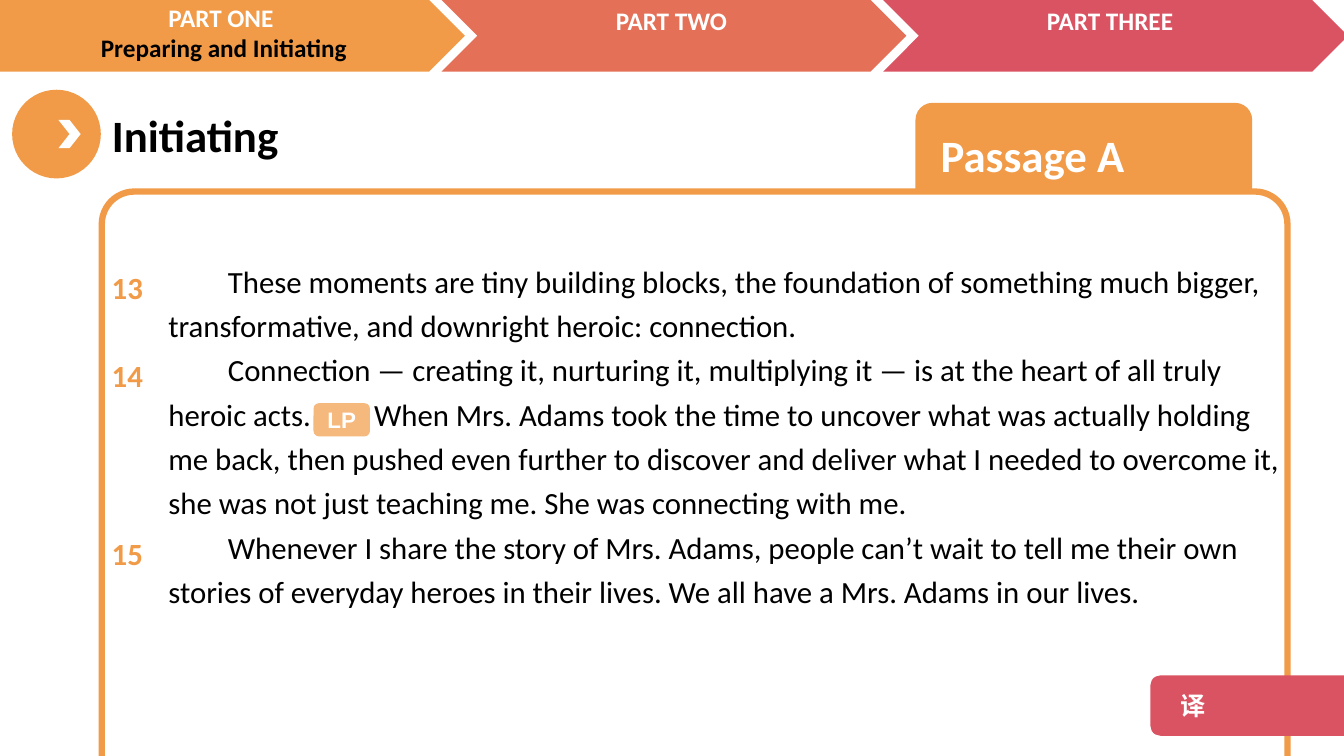
"""Build the Passage A reading slide."""
from lxml.etree import SubElement
from pptx import Presentation
from pptx.dml.color import RGBColor
from pptx.enum.shapes import MSO_SHAPE as Shape
from pptx.enum.text import MSO_ANCHOR as Anchor, MSO_AUTO_SIZE as AutoSize, PP_ALIGN as Align
from pptx.oxml.ns import qn
from pptx.util import Inches, Pt

ORANGE = RGBColor(0xF1, 0x9B, 0x48)
CORAL = RGBColor(0xE4, 0x70, 0x57)
ROSE = RGBColor(0xDA, 0x53, 0x62)
WHITE = RGBColor(0xFF, 0xFF, 0xFF)
BLACK = RGBColor(0, 0, 0)

PARTS = [
    (-0.61, 5.22, ORANGE, -0.06, -0.03, ["PART ONE ", "Preparing and Initiating"]),
    (4.38, 4.61, CORAL, 4.38, 0, ["PART TWO"]),
    (8.76, 4.61, ROSE, 8.73, 0, ["PART THREE"]),
]
PASSAGE = [
    ["These moments are tiny building blocks, the foundation of something much bigger, "
     "transformative, and downright heroic: connection."],
    ["Connection — creating it, nurturing it, multiplying it — is at the heart of all truly "
     "heroic acts.",
     " ",
     "When Mrs. Adams took the time to uncover what was actually holding "
     "me back, then pushed even further to discover and deliver what I needed to overcome it, "
     "she was not just teaching me. She was connecting with me."],
    ["Whenever I share the story of Mrs. Adams, people can’t wait to tell me their own "
     "stories of everyday heroes in their lives. We all have a Mrs. Adams in our lives."],
]
NUMBERS = [("13", 0), ("14", 1), ("15", 3)]
LINE_PITCH = 31.75
TAG_GAP = 40


def place(item, left, top, width, height):
    """Move and size an item, in inches."""
    item.left, item.top = Inches(left), Inches(top)
    item.width, item.height = Inches(width), Inches(height)


def add_span(para, text, size, color, bold=True, font="Calibri"):
    """Add one formatted run to a paragraph and return it."""
    span = para.add_run()
    span.text = text
    span.font.size, span.font.bold, span.font.name = Pt(size), bold, font
    span.font.color.rgb = color
    SubElement(span.font._element, qn("a:ea")).set("typeface", font)
    return span


def add_block(page, kind, box, fill, line=None, corner=None):
    """Add a flat filled shape, with an outline if a colour is given."""
    block = page.shapes.add_shape(kind, *(Inches(value) for value in box))
    block.shadow.inherit = False
    block.fill.solid()
    block.fill.fore_color.rgb = fill
    if line is None:
        block.line.fill.background()
    else:
        block.line.color.rgb, block.line.width = line, Pt(4.5)
    if corner is not None:
        block.adjustments[0] = corner
    return block


def label_block(block, text, size, font="Calibri", align=Align.LEFT, margin=0.1):
    """Write a white bold label inside a shape."""
    frame = block.text_frame
    frame.vertical_anchor = Anchor.MIDDLE
    frame.margin_left = Inches(margin)
    para = frame.paragraphs[0]
    para.alignment = align
    add_span(para, text, size, WHITE, font=font)


def add_box(page, left, top, width, height):
    """Add a wrapping text box and return its frame."""
    box = page.shapes.add_textbox(Inches(left), Inches(top), Inches(width), Inches(height))
    box.text_frame.word_wrap = True
    return box.text_frame


def next_para(frame, index):
    """Return the first paragraph of a frame or add another one."""
    return frame.add_paragraph() if index else frame.paragraphs[0]


def bring_forward(item):
    """Put an item in front of all the others."""
    item.element.getparent().append(item.element)


def add_part(page, left, width, color, text_left, text_top, lines):
    """Add one chevron of the top band with its label."""
    add_block(page, Shape.CHEVRON, (left, 0, width, 0.71), color)
    frame = add_box(page, text_left, text_top, 4.56, 0.71)
    for index, text in enumerate(lines):
        para = next_para(frame, index)
        para.alignment = Align.CENTER
        add_span(para, text, 18, BLACK if index else WHITE)


def fill_title(title):
    """Place and write the heading."""
    place(title, 1.01, 1.02, 4.85, 0.64)
    frame = title.text_frame
    frame.auto_size, frame.vertical_anchor = AutoSize.NONE, Anchor.TOP
    para = frame.paragraphs[0]
    para.alignment = Align.LEFT
    add_span(para, "Initiating", 32, BLACK)
    bring_forward(title)


def fill_passage(body):
    """Place and write the passage, leaving a wide space for the tag."""
    place(body, 1.57, 2.48, 11.25, 3.75)
    frame = body.text_frame
    frame.auto_size, frame.vertical_anchor = AutoSize.NONE, Anchor.TOP
    for index, pieces in enumerate(PASSAGE):
        para = next_para(frame, index)
        para.line_spacing, para.space_before = 1.2, Pt(0)
        props = para._p.get_or_add_pPr()
        props.set("marL", "0")
        props.set("indent", str(Inches(0.59)))
        SubElement(props, qn("a:buNone"))
        for piece in pieces:
            span = add_span(para, piece, 22, BLACK, bold=False)
            if piece == " ":
                span.font._element.set("spc", str(TAG_GAP * 100))
    bring_forward(body)


def add_numbers(page):
    """Add the paragraph numbers beside the passage."""
    frame = add_box(page, 1.01, 2.54, 0.56, 3.65)
    for index, (number, skipped_lines) in enumerate(NUMBERS):
        para = next_para(frame, index)
        para.line_spacing = 1.2
        para.space_before = Pt(skipped_lines * LINE_PITCH)
        add_span(para, number, 22, ORANGE)


def add_point_tag(page):
    """Add the translucent LP tag inside the passage."""
    tag = add_block(page, Shape.ROUNDED_RECTANGLE, (3.11, 4, 0.56, 0.33), ORANGE)
    color = tag.element.spPr.find(qn("a:solidFill"))[0]
    SubElement(color, qn("a:alpha")).set("val", "71000")
    label_block(tag, "LP", 16, font="Arial", align=Align.CENTER)


def main():
    """Build and save the slide."""
    deck = Presentation()
    deck.slide_width, deck.slide_height = Inches(13.33), Inches(7.5)
    page = deck.slides.add_slide(deck.slide_layouts[1])

    add_block(page, Shape.OVAL, (0.12, 0.89, 0.88, 0.88), ORANGE)
    add_block(page, Shape.CHEVRON, (0.58, 1.19, 0.22, 0.28), WHITE)
    heading = add_block(page, Shape.ROUNDED_RECTANGLE, (9.08, 1.02, 3.34, 1.02), ORANGE)
    label_block(heading, "Passage A", 32, margin=0.2)
    add_block(page, Shape.ROUNDED_RECTANGLE, (1.01, 1.9, 11.76, 6.45), WHITE, ORANGE, 0.05)
    for part in PARTS:
        add_part(page, *part)

    fill_title(page.shapes.title)
    fill_passage(page.placeholders[1])
    add_numbers(page)
    button = add_block(page, Shape.ROUNDED_RECTANGLE, (11.41, 6.7, 2.13, 0.6), ROSE)
    label_block(button, "译", 18, font="Noto Sans CJK SC", margin=0.27)
    add_point_tag(page)
    deck.save("out.pptx")


if __name__ == "__main__":
    main()
